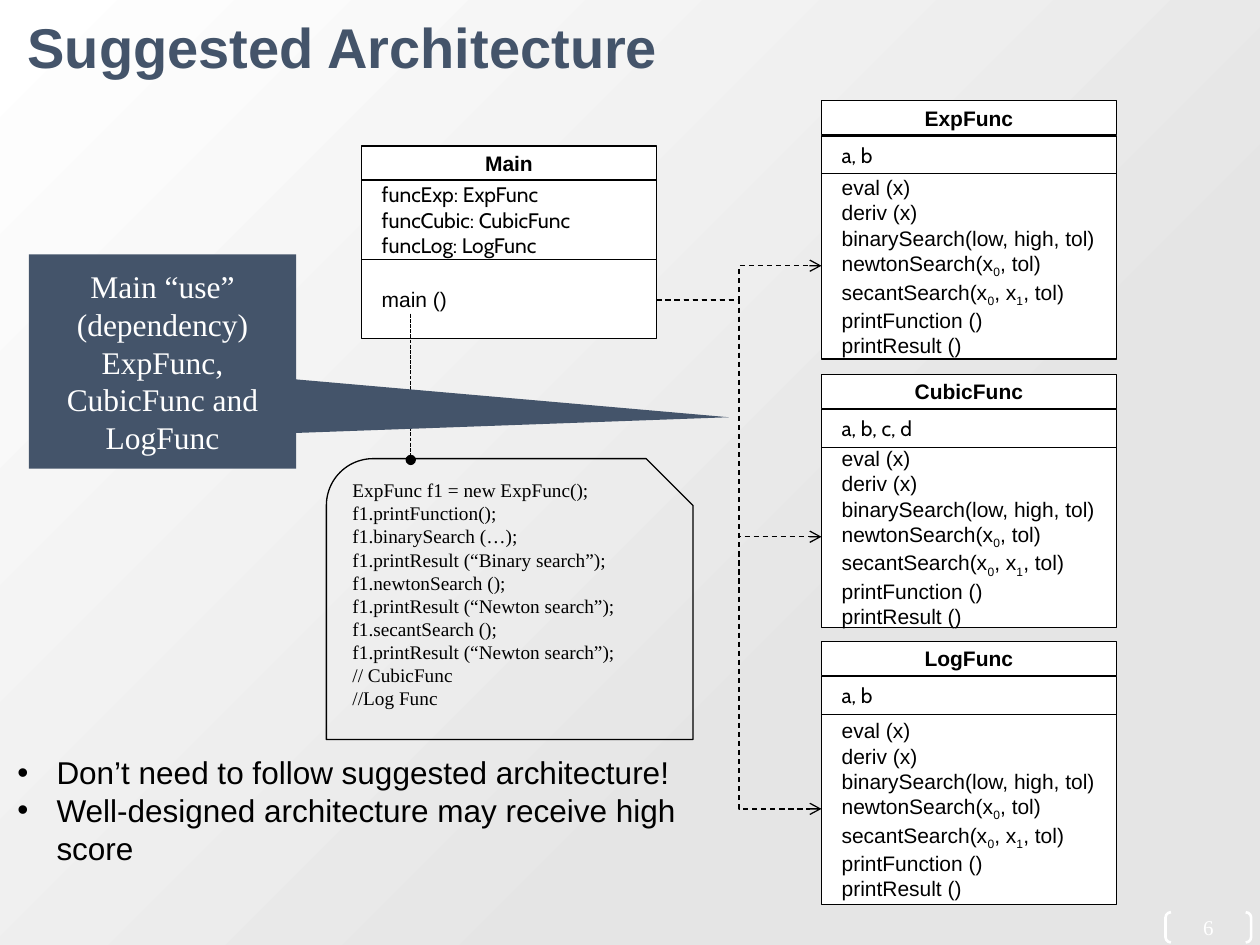
from pptx import Presentation
from pptx.util import Inches, Pt
from pptx.dml.color import RGBColor
from pptx.enum.dml import MSO_LINE as Dash
from pptx.enum.shapes import MSO_SHAPE as Shape, MSO_CONNECTOR as Link
from pptx.enum.text import PP_ALIGN as Align, MSO_ANCHOR as Anchor
from pptx.oxml.ns import qn
from lxml.etree import SubElement

INK, NAVY, WHITE = "000000", "44546A", "FFFFFF"
SANS, SERIF, CABIN = "Arial", "Times New Roman", "Cabin"

TITLE = ["Suggested Architecture"]
METHODS = [
    "eval (x)",
    "deriv (x)",
    "binarySearch(low, high, tol)",
    "newtonSearch(x_0, tol)",
    "secantSearch(x_0, x_1, tol)",
    "printFunction ()",
    "printResult ()",
]
MAIN = ["funcExp: ExpFunc", "funcCubic: CubicFunc", "funcLog: LogFunc"]
CLASSES = [
    ("ExpFunc", ["a, b"], METHODS, 6.52, 0.8, (0.28, 0.58, 2.05)),
    ("CubicFunc", ["a, b, c, d"], METHODS, 6.52, 2.97, (0.28, 0.58, 2.01)),
    ("LogFunc", ["a, b"], METHODS, 6.52, 5.09, (0.28, 0.58, 2.09)),
    ("Main", MAIN, ["main ()"], 2.87, 1.16, (0.27, 0.9, 1.53)),
]
CODE = [
    "ExpFunc f1 = new ExpFunc();",
    "f1.printFunction();",
    "f1.binarySearch (…);",
    "f1.printResult (“Binary search”);",
    "f1.newtonSearch ();",
    "f1.printResult (“Newton search”);",
    "f1.secantSearch ();",
    "f1.printResult (“Newton search”);",
    "// CubicFunc",
    "//Log Func",
]
CALL = ["Main “use” (dependency) ExpFunc, CubicFunc and LogFunc"]
NOTES = [
    "Don’t need to follow suggested architecture!",
    "Well-designed architecture may receive high score",
]
WIDE, HEAD = 2.34, 0.27
START, ENDS = (5.21, 2.38), (4.26, 6.42, 2.11)


def rgb(code):
    return RGBColor.from_string(code)


def write(shape, lines, size, font=SANS, color=INK, bold=False,
          align=Align.LEFT, anchor=Anchor.MIDDLE, pads=(0.1, 0.05, 0.1, 0.05)):
    frame = shape.text_frame
    frame.word_wrap = True
    frame.vertical_anchor = anchor
    frame.margin_left, frame.margin_top, frame.margin_right, frame.margin_bottom = map(Inches, pads)
    for i, line in enumerate(lines):
        para = frame.paragraphs[0] if i == 0 else frame.add_paragraph()
        para.alignment = align
        first, *rest = line.split("_")
        parts = [(first, False)]
        for part in rest:
            parts += [(part[0], True), (part[1:], False)]
        for text, low in parts:
            run = para.add_run()
            run.text = text
            run.font.size, run.font.name, run.font.bold = Pt(size), font, bold
            run.font.color.rgb = rgb(color)
            if low:
                run._r.get_or_add_rPr().set("baseline", "-25000")


def draw(kind, box, fill=None, line=None, width=0.75):
    shape = slide.shapes.add_shape(kind, *map(Inches, box))
    shape.shadow.inherit = False
    if fill:
        shape.fill.solid()
        shape.fill.fore_color.rgb = rgb(fill)
    else:
        shape.fill.background()
    if line:
        shape.line.color.rgb = rgb(line)
        shape.line.width = Pt(width)
    else:
        shape.line.fill.background()
    return shape


def join(kind, start, end, dash, tip):
    link = slide.shapes.add_connector(kind, *map(Inches, start + end))
    link.line.color.rgb = rgb(INK)
    link.line.width = Pt(0.75)
    link.line.dash_style = dash
    props = link._element.spPr
    SubElement(props.get_or_add_ln(), qn("a:tailEnd"), type=tip)
    SubElement(props, qn("a:effectLst"))


def card(name, fields, calls, left, top, cuts):
    edges = (0,) + cuts
    looks = [
        ([name], SANS, True, Align.CENTER, 0, HEAD),
        (fields, CABIN, False, Align.LEFT, 0.16, cuts[1] - cuts[0]),
        (calls, SANS, False, Align.LEFT, 0.16, cuts[2] - cuts[1]),
    ]
    for edge, (lines, font, bold, align, pad, high) in zip(edges, looks):
        box = draw(Shape.RECTANGLE, (left, top + edge, WIDE, high), WHITE, INK)
        write(box, lines, 12, font, INK, bold, align, pads=(pad, 0, 0, 0))


deck = Presentation()
deck.slide_width, deck.slide_height = Inches(10), Inches(7.5)
slide = deck.slides.add_slide(deck.slide_layouts[6])

back = slide.background.fill
back.gradient()
back.gradient_angle = 135
for stop, (place, tone) in zip(back.gradient_stops, [(0.31, "E5E5E5"), (1, WHITE)]):
    stop.position = place
    stop.color.rgb = rgb(tone)

page = draw(Shape.DOUBLE_BRACKET, (9.25, 7.24, 0.68, 0.24), None, WHITE, 1.5)
page.adjustments[0] = 0.18
write(page, ["6"], 12, SERIF, WHITE, align=Align.CENTER, pads=(0, 0, 0, 0))

title = slide.shapes.add_textbox(*map(Inches, (0, 0.05, 9.53, 0.56)))
write(title, TITLE, 32, SANS, NAVY, True, anchor=Anchor.TOP, pads=(0.22, 0.05, 0.1, 0.05))

for item in CLASSES:
    card(*item)

code = draw(Shape.SNIP_ROUND_RECTANGLE, (2.59, 3.64, 2.91, 2.23), None, INK)
write(code, CODE, 11, SERIF, anchor=Anchor.TOP)

for y in ENDS:
    join(Link.ELBOW, START, (6.52, y), Dash.DASH, "arrow")
join(Link.STRAIGHT, (3.26, 2.49), (3.26, 3.65), Dash.SQUARE_DOT, "oval")

call = draw(Shape.RECTANGULAR_CALLOUT, (0.23, 2.02, 2.12, 1.7), NAVY)
call.adjustments[0], call.adjustments[1] = 2.12, 0.26
write(call, CALL, 18, SERIF, WHITE, align=Align.CENTER)

notes = slide.shapes.add_textbox(*map(Inches, (0.04, 5.93, 5.75, 1.01)))
write(notes, NOTES, 18, anchor=Anchor.TOP)
for para in notes.text_frame.paragraphs:
    props = para._p.get_or_add_pPr()
    props.set("marL", str(Inches(0.31)))
    props.set("indent", str(-Inches(0.31)))
    SubElement(props, qn("a:buFont"), typeface=SANS)
    SubElement(props, qn("a:buChar"), char="•")

deck.save("out.pptx")
